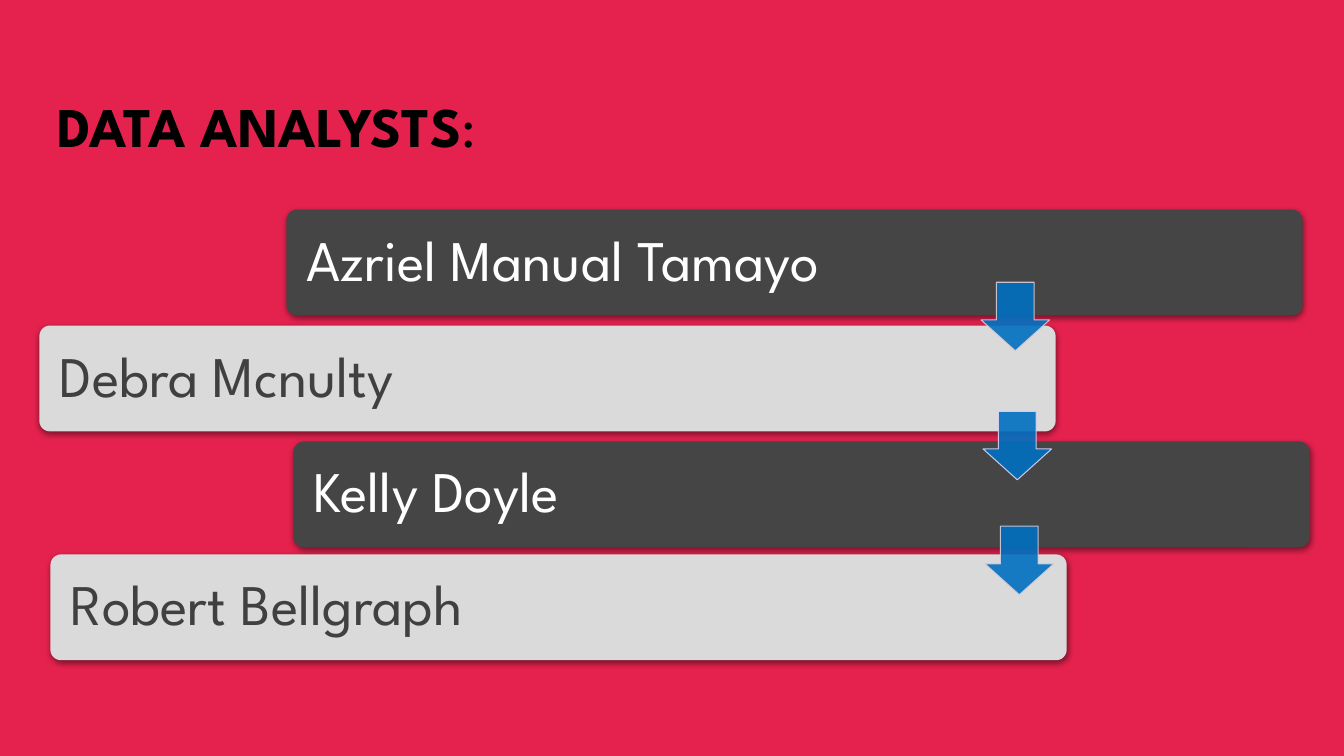
from lxml import etree
from pptx import Presentation
from pptx import util as u
from pptx.dml import color
from pptx.enum import shapes, text
from pptx.oxml import ns

FONT = "League Spartan"
COLORS = {
    "background": "E5224E",
    "title": "000000",
    "dark": "454545",
    "light": "DADADA",
    "on_dark": "FFFFFF",
    "on_light": "404040",
    "arrow": "0070C0",
    "shadow": "000000",
}
TITLE = [("DATA ANALYSTS", True), (":", False)]
TITLE_BOX = (16, 58, 466, 141)
ANALYSTS = [
    ("Azriel Manual Tamayo", 284, 208, "dark"),
    ("Debra Mcnulty", 39, 323, "light"),
    ("Kelly Doyle", 291, 438, "dark"),
    ("Robert Bellgraph", 50, 550, "light"),
]
CARD_SIZE = (1008, 105)
CARD_INSET = 17
ARROWS = [(973, 280, "DFCCD0"), (975, 408, "DBD3F7"), (977, 522, "D8CDDC")]
ARROW_SIZE = (68, 68)
SCALE = 9144


def px(*lengths):
    return [u.Emu(length * SCALE) for length in lengths]


def rgb(value):
    return color.RGBColor.from_string(value)


def paint(fill, value, opacity=None):
    fill.solid()
    fill.fore_color.rgb = rgb(value)
    if opacity:
        choice = fill._xPr.find(ns.qn("a:solidFill"))[0]
        etree.SubElement(choice, ns.qn("a:alpha"), val=str(opacity * 1000))


def add_shadow(shape):
    effects = shape._element.spPr.find(ns.qn("a:effectLst"))
    shadow = etree.SubElement(
        effects, ns.qn("a:outerShdw"), blurRad=str(u.Pt(4.5)),
        dist=str(u.Pt(1.5)), dir="5400000", algn="ctr", rotWithShape="0")
    tint = etree.SubElement(shadow, ns.qn("a:srgbClr"), val=COLORS["shadow"])
    etree.SubElement(tint, ns.qn("a:alpha"), val="48000")


def style_text(frame, size, ink, align):
    frame.word_wrap = True
    frame.vertical_anchor = text.MSO_ANCHOR.MIDDLE
    paragraph = frame.paragraphs[0]
    paragraph.alignment = align
    paragraph.line_spacing = 0.9
    paragraph.font.name = FONT
    paragraph.font.size = u.Pt(size)
    paragraph.font.color.rgb = rgb(ink)
    return paragraph


def add_title(slide):
    box = slide.shapes.add_textbox(*px(*TITLE_BOX))
    paragraph = style_text(box.text_frame, 40, COLORS["title"], text.PP_ALIGN.RIGHT)
    for words, bold in TITLE:
        run = paragraph.add_run()
        run.text = words
        run.font.bold = bold


def add_card(slide, name, left, top, tone):
    card = slide.shapes.add_shape(
        shapes.MSO_SHAPE.ROUNDED_RECTANGLE, *px(left, top, *CARD_SIZE))
    card.adjustments[0] = 0.1
    card.shadow.inherit = False
    paint(card.fill, COLORS[tone])
    card.line.fill.background()
    add_shadow(card)
    frame = card.text_frame
    inset = px(CARD_INSET)[0]
    frame.margin_left = frame.margin_right = inset
    frame.margin_top = frame.margin_bottom = inset
    paragraph = style_text(frame, 41, COLORS["on_" + tone], text.PP_ALIGN.LEFT)
    paragraph.add_run().text = name


def add_arrow(slide, left, top, outline):
    arrow = slide.shapes.add_shape(
        shapes.MSO_SHAPE.DOWN_ARROW, *px(left, top, *ARROW_SIZE))
    arrow.adjustments[0] = 0.55
    arrow.adjustments[1] = 0.45
    arrow.shadow.inherit = False
    paint(arrow.fill, COLORS["arrow"], 90)
    arrow.line.width = u.Pt(0.75)
    paint(arrow.line.fill, outline, 90)


def main():
    presentation = Presentation()
    presentation.slide_width = u.Inches(13.33)
    presentation.slide_height = u.Inches(7.5)
    slide = presentation.slides.add_slide(presentation.slide_layouts[6])
    paint(slide.background.fill, COLORS["background"])
    add_title(slide)
    for analyst in ANALYSTS:
        add_card(slide, *analyst)
    for arrow in ARROWS:
        add_arrow(slide, *arrow)
    presentation.save("out.pptx")


if __name__ == "__main__":
    main()
